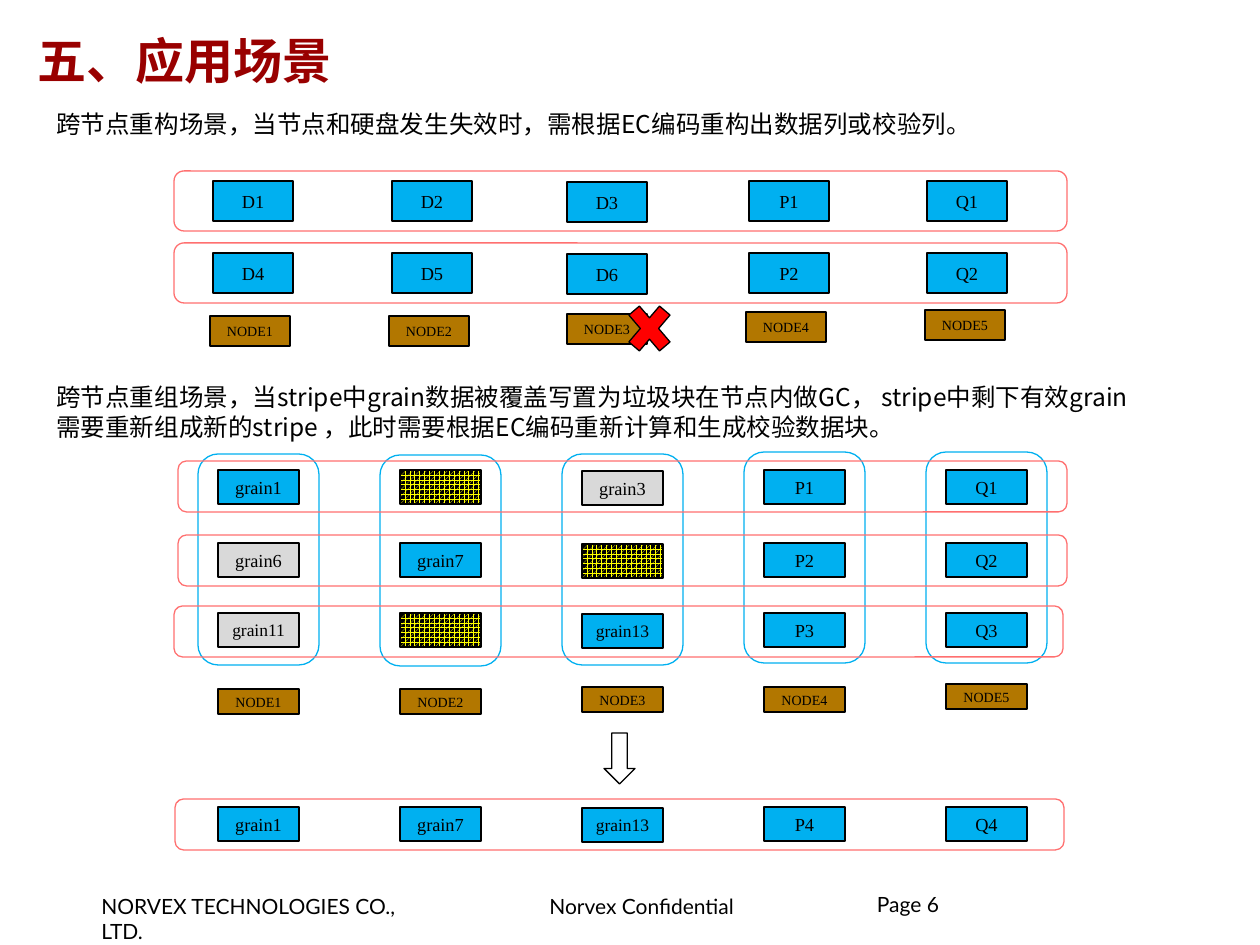
"""Builds the slide on erasure-coding rebuild and regroup scenarios."""
from pptx import Presentation
from pptx import util as u
from pptx.dml.color import RGBColor
from pptx.enum import dml, shapes, text

SCALE = 914400 // 126
BLACK = RGBColor(0, 0, 0)
DARK_RED = RGBColor(0x99, 0, 0)
RED = RGBColor(0xFF, 0, 0)
PINK = RGBColor(0xFF, 0x70, 0x70)
BLUE = RGBColor(0, 0xB0, 0xF0)
GREY = RGBColor(0xD9, 0xD9, 0xD9)
BROWN = RGBColor(0xB2, 0x77, 0)
YELLOW = RGBColor(0xFF, 0xFF, 0)
SHAPE = shapes.MSO_SHAPE


class Painter:
    """Holds the style and the current page."""

    def __init__(self, page):
        self.page = page
        self.block_font = "Times New Roman"
        self.body_font = "Noto Sans CJK SC"
        self.footer_font = "Lato"
        self.line_width = u.Pt(0.75)

    def place(self, *lengths):
        return [u.Emu(length * SCALE) for length in lengths]

    def add_words(self, box, words, align, color=BLACK, **style):
        para = box.text_frame.paragraphs[0]
        para.alignment = align
        span = para.add_run()
        span.text = words
        for name, value in style.items():
            setattr(span.font, name, value)
        span.font.color.rgb = color
        return para

    def label(self, words, area, size, font, frame=None, spacing=None, **style):
        box = self.page.shapes.add_textbox(*self.place(*area))
        for name, value in {"word_wrap": True, **(frame or {})}.items():
            setattr(box.text_frame, name, value)
        para = self.add_words(box, words, text.PP_ALIGN.LEFT,
                              size=u.Pt(size), name=font, **style)
        para.line_spacing = spacing

    def shape(self, kind, area, fill=None, line=BLACK, rotation=0):
        box = self.page.shapes.add_shape(kind, *self.place(*area))
        box.shadow.inherit = False
        box.rotation = rotation
        box.line.color.rgb = line
        box.line.width = self.line_width
        if fill is None:
            box.fill.background()
        else:
            box.fill.solid()
            box.fill.fore_color.rgb = fill
        return box

    def block(self, words, area, fill=BLUE, size=10.5):
        box = self.shape(SHAPE.RECTANGLE, area, fill)
        self.add_words(box, words, text.PP_ALIGN.CENTER,
                       size=u.Pt(size), name=self.block_font)

    def garbage(self, area):
        box = self.shape(SHAPE.RECTANGLE, area)
        box.fill.patterned()
        box.fill.pattern = dml.MSO_PATTERN.SPHERE
        box.fill.fore_color.rgb = YELLOW
        box.fill.back_color.rgb = BLACK

    def frame(self, area, line=PINK):
        self.shape(SHAPE.ROUNDED_RECTANGLE, area, line=line)

    def nodes(self, lefts, tops, width, height):
        for number, (left, top) in enumerate(zip(lefts, tops), 1):
            self.block(f"NODE{number}", (left, top, width, height), BROWN, 8)

    def grains(self, names, lefts, top, stale=()):
        for column, (name, left) in enumerate(zip(names, lefts)):
            area = (left, top + (column == 2), 81, 34)
            if name:
                self.block(name, area, GREY if name in stale else BLUE,
                           10 if len(name) == 7 else 10.5)
            else:
                self.garbage(area)


deck = Presentation()
deck.slide_width, deck.slide_height = u.Inches(10), u.Inches(7.5)
page = deck.slides.add_slide(deck.slide_layouts[6])
paint = Painter(page)

paint.label("NORVEX TECHNOLOGIES CO., LTD.", (89, 887, 354, 37), 12, paint.footer_font)
paint.label("Norvex Confidential", (537, 887, 224, 37), 12, paint.footer_font)
flush = dict.fromkeys(("margin_left", "margin_top", "margin_right", "margin_bottom"), 0)
paint.label("Page 6", (877, 895, 289, 63), 12, paint.footer_font, flush, 0.85)
paint.label("五、应用场景", (25, 0, 1067, 120), 28, paint.footer_font,
            {"vertical_anchor": text.MSO_ANCHOR.MIDDLE}, bold=True, color=DARK_RED)

grain_lefts = [218 + 182 * column for column in range(5)]
STALE = ("grain3", "grain6", "grain11")
GRAIN_ROWS = (
    (470, ("grain1", "", "grain3", "P1", "Q1")),
    (543, ("grain6", "grain7", "", "P2", "Q2")),
    (613, ("grain11", "", "grain13", "P3", "Q3")),
)
for top, names in GRAIN_ROWS:
    paint.grains(names, grain_lefts, top, STALE)
for left, top in zip(grain_lefts, (454, 455, 454, 452, 452)):
    paint.frame((left - 20, top, 121, 211), BLUE)
for left, top in ((178, 461), (178, 535), (174, 606)):
    paint.frame((left, top, 889, 51))
paint.nodes(grain_lefts, (689, 689, 687, 687, 684), 81, 25)
paint.grains(("grain1", "grain7", "grain13", "P4", "Q4"), grain_lefts, 807)
paint.frame((175, 799, 889, 51))
paint.shape(SHAPE.RIGHT_ARROW, (594, 743, 51, 31), rotation=90)

data_lefts = (213, 392, 567, 749, 927)
DATA_ROWS = (
    (181, ("D1", "D2", "D3", "P1", "Q1")),
    (253, ("D4", "D5", "D6", "P2", "Q2")),
)
for top, names in DATA_ROWS:
    for column, (name, left) in enumerate(zip(names, data_lefts)):
        paint.block(name, (left, top + (column == 2), 80, 40))
    paint.frame((174, top - 10, 893, 60))
paint.nodes((210, 389, 567, 746, 925), (316, 316, 314, 312, 310), 80, 30)
paint.shape(SHAPE.MATH_MULTIPLY, (620, 294, 59, 69), RED)

paint.label("跨节点重构场景，当节点和硬盘发生失效时，需根据EC编码重构出数据列或校验列。",
            (44, 103, 1101, 43), 14, paint.body_font)
paint.label("跨节点重组场景，当stripe中grain数据被覆盖写置为垃圾块在节点内做GC， "
            "stripe中剩下有效grain需要重新组成新的stripe ，"
            "此时需要根据EC编码重新计算和生成校验数据块。",
            (44, 376, 1101, 72), 14, paint.body_font)

deck.save("out.pptx")
